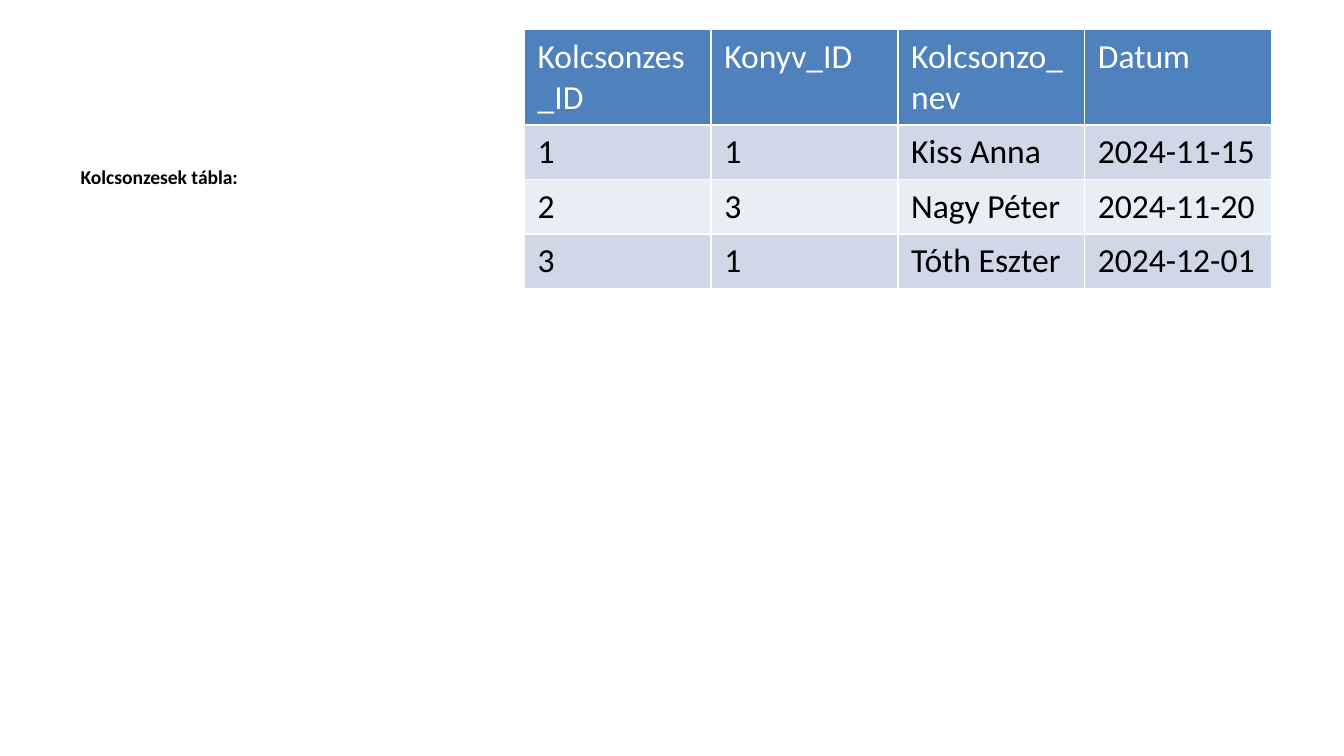
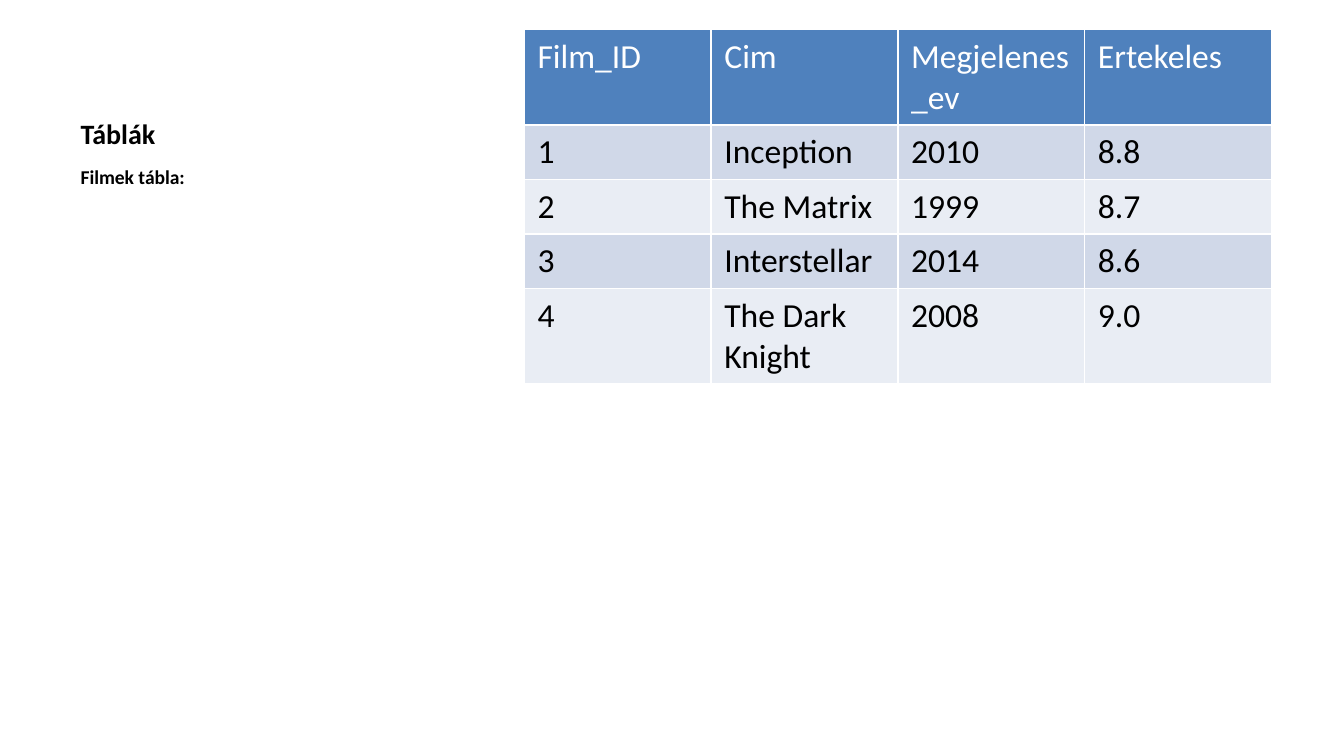
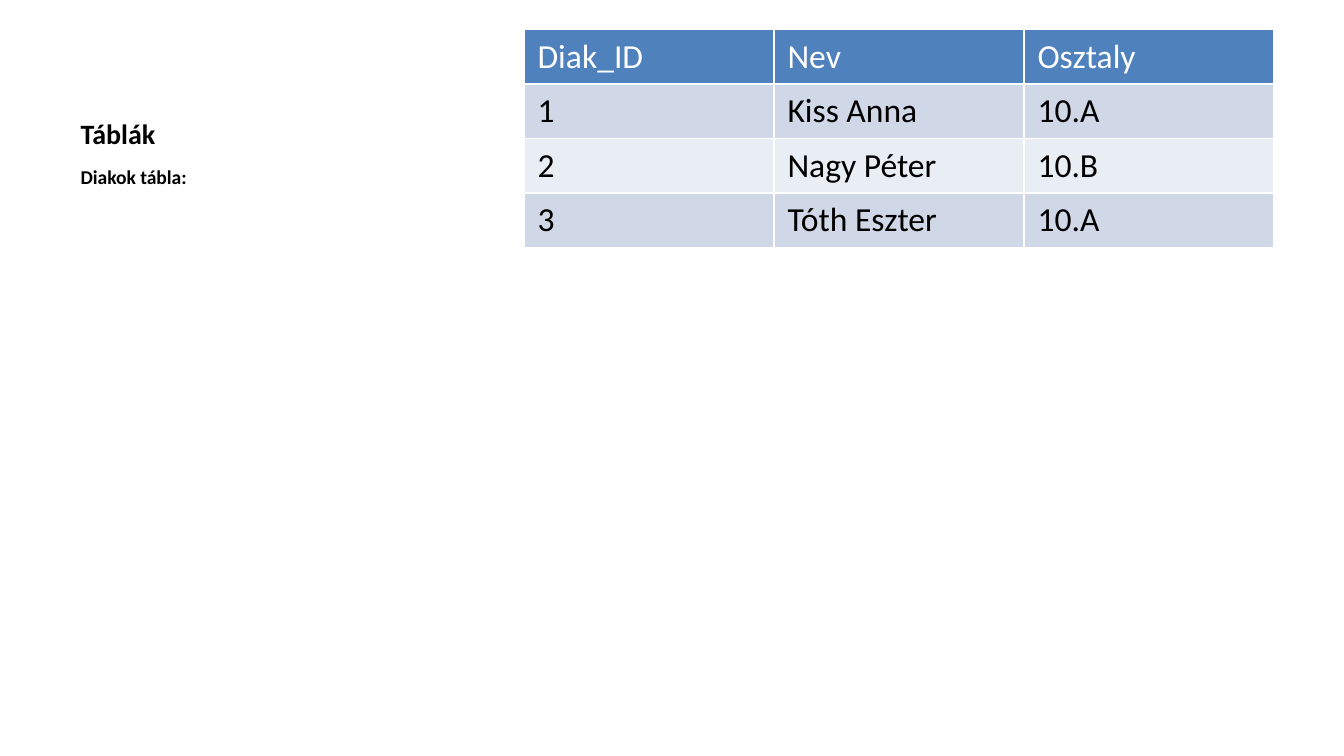
from pptx import Presentation
from pptx.dml.color import RGBColor
from pptx.enum.text import MSO_ANCHOR
from pptx.util import Inches, Pt

BOTTOM = MSO_ANCHOR.BOTTOM
FONT = "Calibri"
COLORS = {
    "text": "000000",
    "header_text": "FFFFFF",
    "header": "4F81BD",
    "odd_row": "D0D8E8",
    "even_row": "E9EDF4",
}
CAPTION_LAYOUT = 7
CONTENT_INDEX, CAPTION_INDEX = 1, 2
LEFT, TOP, CAPTION_WIDTH = Inches(0.5), Inches(0.22), Inches(3.29)
TABLE_LEFT, ROW_HEIGHT = Inches(3.9), Inches(0.4)

# Slide title, caption, column width, table rows with the header first
SLIDES = [
    ("", "Kolcsonzesek tábla:", 1.39, [
        ("Kolcsonzes_ID", "Konyv_ID", "Kolcsonzo_nev", "Datum"),
        ("1", "1", "Kiss Anna", "2024-11-15"),
        ("2", "3", "Nagy Péter", "2024-11-20"),
        ("3", "1", "Tóth Eszter", "2024-12-01"),
    ]),
    ("Táblák", "Filmek tábla:", 1.39, [
        ("Film_ID", "Cim", "Megjelenes_ev", "Ertekeles"),
        ("1", "Inception", "2010", "8.8"),
        ("2", "The Matrix", "1999", "8.7"),
        ("3", "Interstellar", "2014", "8.6"),
        ("4", "The Dark Knight", "2008", "9.0"),
    ]),
    ("Táblák", "Diakok tábla:", 1.86, [
        ("Diak_ID", "Nev", "Osztaly"),
        ("1", "Kiss Anna", "10.A"),
        ("2", "Nagy Péter", "10.B"),
        ("3", "Tóth Eszter", "10.A"),
    ]),
]


def write_text(text_frame, text, size, color, bold):
    text_frame.text = text
    paragraph = text_frame.paragraphs[0]
    paragraph.space_before = Pt(0)
    font = paragraph.runs[0].font
    font.name = FONT
    font.size = Pt(size)
    font.bold = bold
    font.color.rgb = RGBColor.from_string(COLORS[color])


def place(shape, top, height):
    """Put a text placeholder in the left column."""
    shape.left, shape.top = LEFT, top
    shape.width, shape.height = CAPTION_WIDTH, height


presentation = Presentation()
presentation.slide_width = Inches(10)
presentation.slide_height = presentation.slide_width * 9 // 16

for title_text, caption_text, column_width, rows in SLIDES:
    slide = presentation.slides.add_slide(presentation.slide_layouts[CAPTION_LAYOUT])
    content = slide.placeholders[CONTENT_INDEX].element
    content.getparent().remove(content)

    title = slide.shapes.title
    if title_text:
        place(title, TOP, Inches(0.95))
        title.text_frame.vertical_anchor = BOTTOM
        write_text(title.text_frame, title_text, 15, "text", True)
    else:
        title.element.getparent().remove(title.element)

    caption = slide.placeholders[CAPTION_INDEX]
    place(caption, Inches(1.18), Inches(3.85))
    write_text(caption.text_frame, caption_text, 10.5, "text", True)

    table = slide.shapes.add_table(
        len(rows), len(rows[0]), TABLE_LEFT, TOP,
        Inches(column_width) * len(rows[0]), ROW_HEIGHT * len(rows),
    ).table
    for row_number, row in enumerate(rows):
        if row_number == 0:
            fill_color, text_color = "header", "header_text"
        else:
            fill_color = "odd_row" if row_number % 2 else "even_row"
            text_color = "text"
        for column_number, value in enumerate(row):
            cell = table.cell(row_number, column_number)
            cell.fill.solid()
            cell.fill.fore_color.rgb = RGBColor.from_string(COLORS[fill_color])
            write_text(cell.text_frame, value, 18, text_color, False)

presentation.save("out.pptx")
